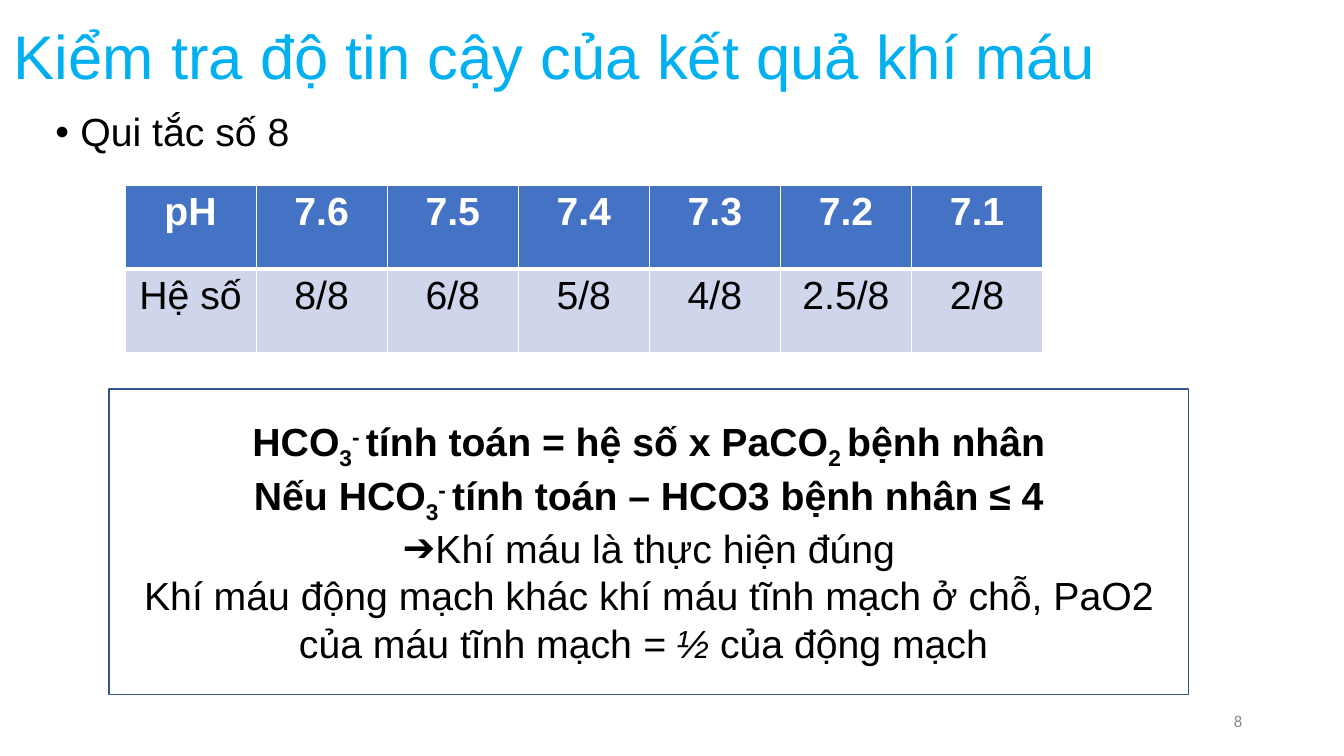
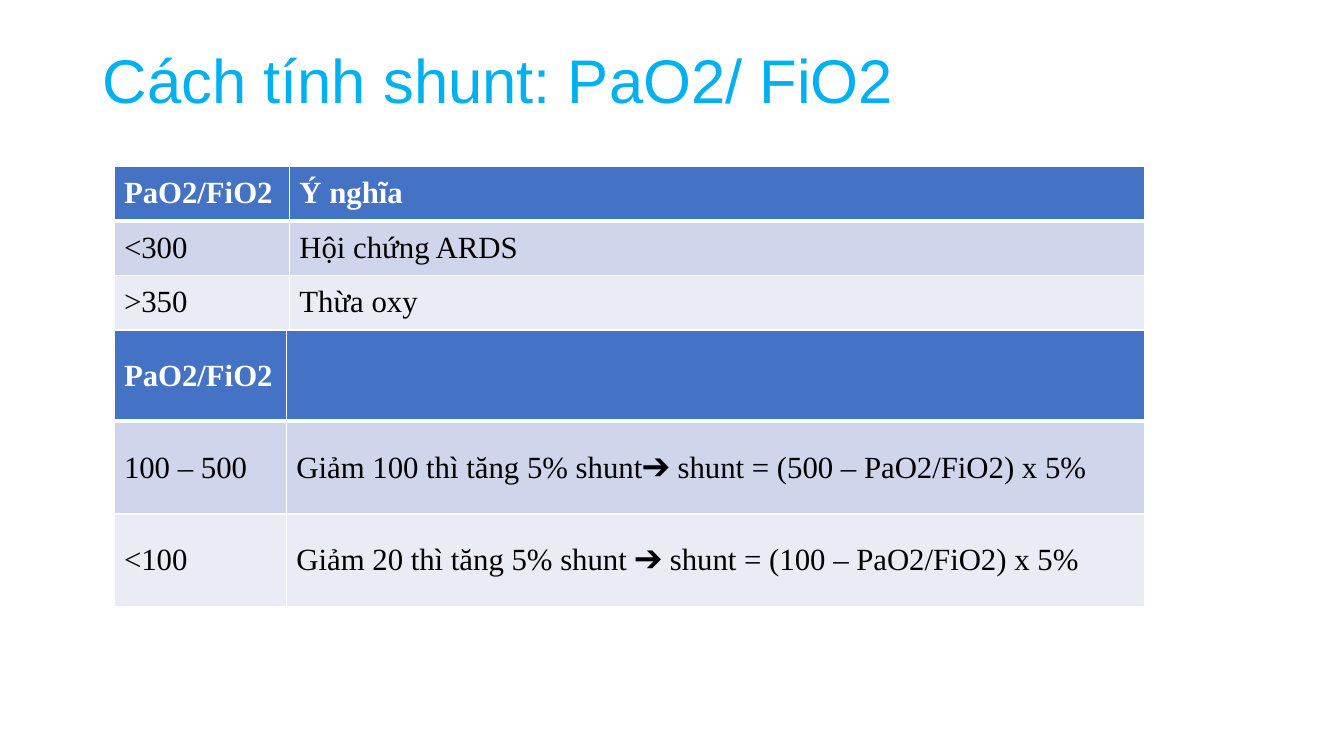
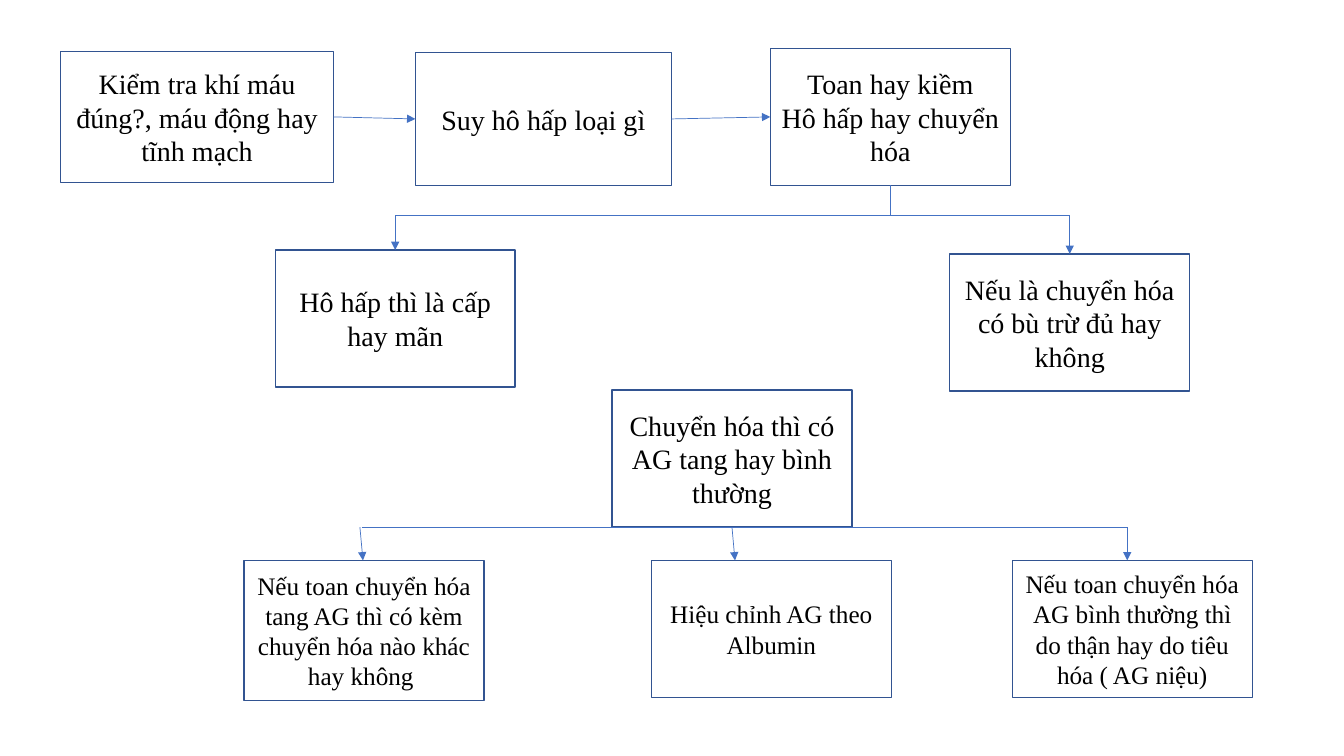
from dataclasses import dataclass, field
from typing import Any, NamedTuple

from lxml import etree
from pptx import Presentation
from pptx.dml.color import RGBColor
from pptx.enum.shapes import MSO_CONNECTOR, MSO_SHAPE
from pptx.enum.text import MSO_ANCHOR, PP_ALIGN
from pptx.oxml.ns import qn
from pptx.slide import Slide
from pptx.text.text import TextFrame
from pptx.util import Inches, Pt

RECTANGLE = MSO_SHAPE.RECTANGLE
STRAIGHT = MSO_CONNECTOR.STRAIGHT
TOP, MIDDLE = MSO_ANCHOR.TOP, MSO_ANCHOR.MIDDLE
LEFT, CENTER, RIGHT = PP_ALIGN.LEFT, PP_ALIGN.CENTER, PP_ALIGN.RIGHT

BLACK = RGBColor(0x00, 0x00, 0x00)
WHITE = RGBColor(0xFF, 0xFF, 0xFF)
SKY = RGBColor(0x00, 0xB0, 0xF0)
BLUE = RGBColor(0x44, 0x72, 0xC4)
NAVY = RGBColor(0x32, 0x54, 0x91)
GREY = RGBColor(0x8C, 0x8C, 0x8C)
BANDS = (RGBColor(0xCF, 0xD5, 0xEA), RGBColor(0xE9, 0xEB, 0xF5))

SANS, SERIF, FOOTER_FONT = "Arial", "Times New Roman", "Calibri"
SUB, SUPER = -25000, 30000
BLANK_LAYOUT = 6


class Style(NamedTuple):
    font: str
    size: int
    color: RGBColor = BLACK


class Area(NamedTuple):
    left: float
    top: float
    width: float
    height: float

    @property
    def right(self) -> float:
        return self.left + self.width

    @property
    def bottom(self) -> float:
        return self.top + self.height

    @property
    def center(self) -> float:
        return self.left + self.width / 2

    @property
    def middle(self) -> float:
        return self.top + self.height / 2

    def lengths(self) -> list[int]:
        return [Inches(value) for value in self]


@dataclass
class Piece:
    text: str
    look: dict[str, Any] = field(default_factory=dict)
    baseline: int = 0


@dataclass
class Line:
    pieces: list[Piece]
    align: PP_ALIGN = LEFT
    spacing: float = 1.0
    bullet: str = ""
    indent: float = 0


class Step(NamedTuple):
    area: Area
    lines: tuple[str, ...]
    size: int = 20


class Link(NamedTuple):
    start: tuple[float, float]
    end: tuple[float, float]
    arrow: bool = True


class Grid(NamedTuple):
    area: Area
    columns: list[float]
    heights: list[float]
    rows: list[list[str]]
    style: Style
    align: PP_ALIGN = LEFT
    anchor: MSO_ANCHOR = MIDDLE


TITLE = Style(SANS, 44, SKY)
BODY = Style(SANS, 28)
PAGE_NUMBER = Style(FOOTER_FONT, 12, GREY)
TABLE_SERIF = Style(SERIF, 22)
BOLD, PLAIN, ITALIC = {"bold": True}, {"bold": False}, {"italic": True}


def write(frame: TextFrame, lines: list[Line], style: Style, anchor: MSO_ANCHOR = TOP) -> None:
    frame.word_wrap = True
    frame.vertical_anchor = anchor
    for index, line in enumerate(lines):
        paragraph = frame.add_paragraph() if index else frame.paragraphs[0]
        paragraph.alignment = line.align
        paragraph.line_spacing = line.spacing
        if line.bullet:
            properties = paragraph._p.get_or_add_pPr()
            properties.set("marL", str(Inches(line.indent)))
            properties.set("indent", str(-Inches(line.indent)))
            etree.SubElement(properties, qn("a:buFont"), typeface=SANS)
            etree.SubElement(properties, qn("a:buChar"), char=line.bullet)
        for piece in line.pieces:
            run = paragraph.add_run()
            run.text = piece.text
            look = {"name": style.font, "size": Pt(style.size), **piece.look}
            for name, value in look.items():
                setattr(run.font, name, value)
            run.font.color.rgb = style.color
            if piece.baseline:
                run._r.get_or_add_rPr().set("baseline", str(piece.baseline))


def add_text(slide: Slide, area: Area, lines: list[Line], style: Style,
             anchor: MSO_ANCHOR = TOP) -> TextFrame:
    frame = slide.shapes.add_textbox(*area.lengths()).text_frame
    write(frame, lines, style, anchor)
    return frame


def add_title(slide: Slide, area: Area, text: str, anchor: MSO_ANCHOR = MIDDLE) -> TextFrame:
    return add_text(slide, area, [Line([Piece(text)], spacing=0.9)], TITLE, anchor)


def add_box(slide: Slide, area: Area, lines: list[Line], style: Style) -> None:
    box = slide.shapes.add_shape(RECTANGLE, *area.lengths())
    box.shadow.inherit = False
    box.fill.background()
    box.line.color.rgb = NAVY
    box.line.width = Pt(1)
    write(box.text_frame, lines, style, MIDDLE)


def add_link(slide: Slide, link: Link) -> None:
    ends = [Inches(value) for value in (*link.start, *link.end)]
    connector = slide.shapes.add_connector(STRAIGHT, *ends)
    connector.line.color.rgb = BLUE
    connector.line.width = Pt(0.5)
    properties = connector._element.spPr
    if link.arrow:
        etree.SubElement(properties.find(qn("a:ln")), qn("a:tailEnd"), type="triangle")
    etree.SubElement(properties, qn("a:effectLst"))


def add_borders(cell: Any, widths: dict[str, float]) -> None:
    properties = cell._tc.get_or_add_tcPr()
    for side, width in widths.items():
        edge = etree.SubElement(properties, qn(f"a:{side}"), w=str(Pt(width)))
        fill = etree.SubElement(edge, qn("a:solidFill"))
        etree.SubElement(fill, qn("a:srgbClr"), val=str(WHITE))


def add_grid(slide: Slide, grid: Grid) -> None:
    table = slide.shapes.add_table(
        len(grid.heights), len(grid.columns), *grid.area.lengths()).table
    table.horz_banding = False
    for column, width in zip(table.columns, grid.columns):
        column.width = Inches(width)
    for row, height in zip(table.rows, grid.heights):
        row.height = Inches(height)
    for row_index, texts in enumerate(grid.rows):
        header = row_index == 0
        style = grid.style._replace(color=WHITE if header else BLACK)
        for column_index, text in enumerate(texts):
            cell = table.cell(row_index, column_index)
            add_borders(cell, {"lnL": 1, "lnR": 1, "lnT": 3 if row_index == 1 else 1,
                               "lnB": 3 if header else 1})
            cell.fill.solid()
            cell.fill.fore_color.rgb = BLUE if header else BANDS[(row_index - 1) % 2]
            cell.vertical_anchor = grid.anchor
            if text:
                look = BOLD if header else PLAIN
                write(cell.text_frame, [Line([Piece(text, look)], grid.align)],
                      style, grid.anchor)


def build_reliability(slide: Slide) -> None:
    add_title(slide, Area(0.04, 0, 11.5, 1.19), "Kiểm tra độ tin cậy của kết quả khí máu")
    add_text(slide, Area(0.45, 1.07, 11.5, 4.76),
             [Line([Piece("Qui tắc số 8")], spacing=0.9, bullet="•", indent=0.25)], BODY)
    add_grid(slide, Grid(
        Area(1.24, 1.84, 9.1, 1.66), [1.3] * 7, [0.83] * 2,
        [["pH", "7.6", "7.5", "7.4", "7.3", "7.2", "7.1"],
         ["Hệ số", "8/8", "6/8", "5/8", "4/8", "2.5/8", "2/8"]],
        BODY, CENTER, TOP))
    bicarbonate = [Piece("3", BOLD, SUB), Piece("- ", BOLD, SUPER)]
    add_box(slide, Area(1.08, 3.86, 10.71, 3.03), [
        Line([Piece("HCO", BOLD), *bicarbonate, Piece("tính toán = hệ số x PaCO", BOLD),
              Piece("2 ", BOLD, SUB), Piece("bệnh nhân", BOLD)], CENTER),
        Line([Piece("Nếu HCO", BOLD), *bicarbonate,
              Piece("tính toán – HCO3 bệnh nhân ≤ 4", BOLD)], CENTER),
        Line([Piece("Khí máu là thực hiện đúng")], CENTER, bullet="➔", indent=0.31),
        Line([Piece("Khí máu động mạch khác khí máu tĩnh mạch ở chỗ, PaO2 của máu tĩnh mạch "),
              Piece("= ½ ", ITALIC), Piece("của động mạch ")], CENTER),
    ], BODY)
    add_text(slide, Area(9.42, 6.95, 3, 0.4), [Line([Piece("8")], RIGHT)], PAGE_NUMBER, MIDDLE)


def build_shunt(slide: Slide) -> None:
    title = add_title(slide, Area(0.92, 0.4, 11.5, 1.45), "Cách tính shunt: PaO2/ FiO2", TOP)
    title.margin_top = Inches(0.1)
    meaning = Area(1.13, 1.65, 10.22, 1.63)
    add_grid(slide, Grid(
        meaning, [1.74, 8.48], [0.54] * 3,
        [["PaO2/FiO2", "Ý nghĩa"], ["<300", "Hội chứng ARDS"], [">350", "Thừa oxy"]],
        TABLE_SERIF))
    add_grid(slide, Grid(
        Area(meaning.left, meaning.bottom, meaning.width, 2.75), [1.71, 8.51], [0.9, 0.92, 0.92],
        [["PaO2/FiO2", ""],
         ["100 – 500", "Giảm 100 thì tăng 5% shunt➔ shunt = (500 – PaO2/FiO2) x 5%"],
         ["<100", "Giảm 20 thì tăng 5% shunt ➔ shunt = (100 – PaO2/FiO2) x 5%"]],
        TABLE_SERIF))


def build_flow(slide: Slide) -> None:
    width, height = 2.38, 1.36
    check = Area(0.6, 0.51, 2.71, 1.3)
    failure = Area(4.12, 0.52, 2.54, 1.32)
    disorder = Area(7.64, 0.48, width, height)
    respiratory = Area(2.73, 2.48, width, height)
    metabolic = Area(9.42, 2.52, width, height)
    anion_gap = Area(6.07, 3.87, width, height)
    high_gap = Area(2.42, 5.56, width, 1.39)
    albumin = Area(6.46, 5.56, width, height)
    normal_gap = Area(10.04, 5.56, width, height)
    steps = [
        Step(check, ("Kiểm tra khí máu đúng?, máu động hay tĩnh mạch",)),
        Step(failure, ("Suy hô hấp loại gì",)),
        Step(disorder, ("Toan hay kiềm", "Hô hấp hay chuyển hóa")),
        Step(respiratory, ("Hô hấp thì là cấp hay mãn",)),
        Step(anion_gap, ("Chuyển hóa thì có AG tang hay bình thường",)),
        Step(high_gap, ("Nếu toan chuyển hóa tang AG thì có kèm chuyển hóa nào khác hay không ",), 18),
        Step(metabolic, ("Nếu là chuyển hóa có bù trừ đủ hay không",)),
        Step(normal_gap, ("Nếu toan chuyển hóa AG bình thường thì do thận hay do tiêu hóa ( AG niệu)",), 18),
        Step(albumin, ("Hiệu chỉnh AG theo Albumin",), 18),
    ]
    for step in steps:
        add_box(slide, step.area, [Line([Piece(text)], CENTER) for text in step.lines],
                Style(SERIF, step.size))

    upper, lower = 2.14, anion_gap.bottom
    normal_x = 11.18
    links = [
        Link((check.right, check.middle), (failure.left, failure.middle)),
        Link((failure.right, failure.middle), (disorder.left, disorder.middle)),
        Link((disorder.center, disorder.bottom), (disorder.center, upper), False),
        Link((respiratory.center, upper), (metabolic.center, upper), False),
        Link((respiratory.center, upper), (respiratory.center, respiratory.top)),
        Link((metabolic.center, upper), (metabolic.center, metabolic.top)),
        Link((3.59, lower), (normal_x, lower), False),
        Link((3.57, lower), (3.6, high_gap.top)),
        Link((anion_gap.center, lower), (7.29, albumin.top)),
        Link((normal_x, lower), (normal_x, normal_gap.top)),
    ]
    for link in links:
        add_link(slide, link)


def main() -> None:
    deck = Presentation()
    deck.slide_width, deck.slide_height = Inches(13.33), Inches(7.5)
    for build in (build_reliability, build_shunt, build_flow):
        build(deck.slides.add_slide(deck.slide_layouts[BLANK_LAYOUT]))
    deck.save("out.pptx")


if __name__ == "__main__":
    main()
